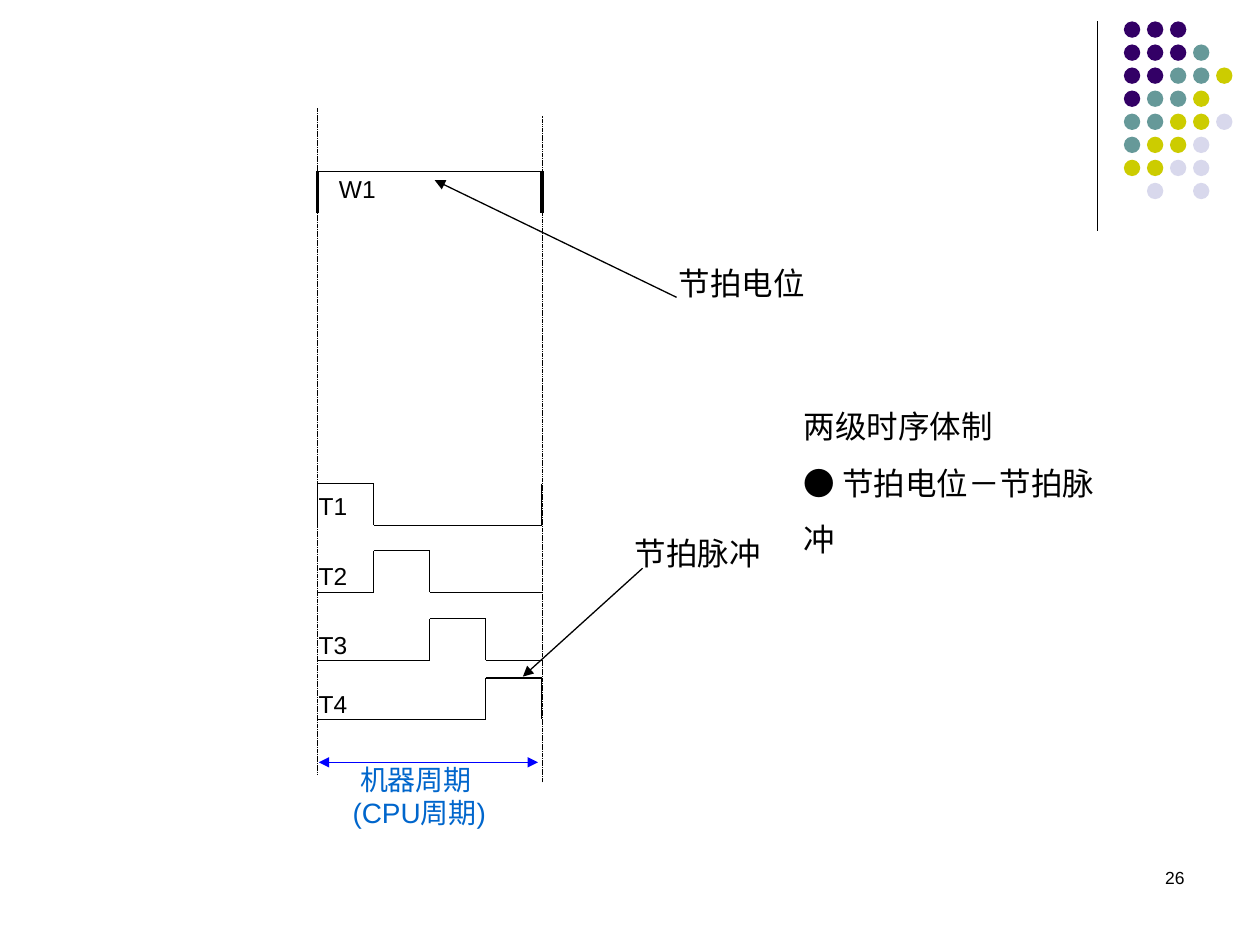
import dataclasses
import itertools
import typing

import pptx
import pptx.dml.color
import pptx.enum.dml
import pptx.enum.shapes
import pptx.enum.text
import pptx.oxml
import pptx.oxml.ns
import pptx.util

Inches = pptx.util.Inches
Pt = pptx.util.Pt
Point = tuple[float, float]


@dataclasses.dataclass(frozen=True)
class Theme:
    font: str = "Arial"
    ink: str = "000000"
    blue: str = "0000FF"
    note: str = "0066CC"
    page: float = 10
    tag: float = 14
    unit: float = 16
    body: float = 18
    hair: float = 0.25
    thin: float = 0.75
    bold: float = 2


@dataclasses.dataclass(frozen=True)
class Pulse:
    name: str
    top: float
    label: float


THEME = Theme()
DOTS = {"P": "330066", "T": "669999", "Y": "CCCC00", "L": "D8D8EC"}
GRID = ["PPP", "PPPT", "PPTTY", "PTTY", "TTYYL", "TYYL", "YYLL", " L L"]
PULSES = [
    Pulse("T1", 3.84, 3.85),
    Pulse("T2", 4.37, 4.4),
    Pulse("T3", 4.91, 4.95),
    Pulse("T4", 5.38, 5.42),
]
LEFT, RIGHT = 2.52, 4.3
STEP = (RIGHT - LEFT) / len(PULSES)
RISE = 0.33


def color(code: str) -> pptx.dml.color.RGBColor:
    return pptx.dml.color.RGBColor.from_string(code)


def line(slide, start: Point, end: Point, tint: str = THEME.ink,
         width: float = THEME.thin, dash: bool = False,
         ends: typing.Sequence[str] = ()) -> None:
    """Draw a straight line; ends lists headEnd and tailEnd as needed."""
    rule = slide.shapes.add_connector(
        pptx.enum.shapes.MSO_CONNECTOR.STRAIGHT,
        *(Inches(n) for n in (*start, *end)))
    rule.line.color.rgb = color(tint)
    rule.line.width = Pt(width)
    if dash:
        rule.line.dash_style = pptx.enum.dml.MSO_LINE.SQUARE_DOT
    props = rule.element.spPr
    pen = props.find(pptx.oxml.ns.qn("a:ln"))
    space = pptx.oxml.ns.nsdecls("a")
    for end_tag in ends:
        pen.append(pptx.oxml.parse_xml(f'<a:{end_tag} {space} type="triangle"/>'))
    props.append(pptx.oxml.parse_xml(f"<a:effectLst {space}/>"))


def chain(slide, points: list[Point]) -> None:
    for start, end in itertools.pairwise(points):
        line(slide, start, end)


def text(slide, words: str, box: tuple[float, float, float, float], *,
         size: float = THEME.body, tint: str = THEME.ink, pad: float = 0.1,
         wrap: bool = False, grow: bool = True, space: float | None = None,
         right: bool = False, dent: float = 0) -> None:
    """Add text, one paragraph a line; dent indents the first one."""
    frame = slide.shapes.add_textbox(*(Inches(n) for n in box)).text_frame
    frame.word_wrap = wrap
    frame.margin_left = frame.margin_right = Inches(pad)
    frame.margin_top = frame.margin_bottom = Inches(0.05)
    if grow:
        frame.auto_size = pptx.enum.text.MSO_AUTO_SIZE.SHAPE_TO_FIT_TEXT
    frame.text = words
    for para in frame.paragraphs:
        para.font.name = THEME.font
        para.font.size = Pt(size)
        para.font.color.rgb = color(tint)
        if space:
            para.line_spacing = space
        if right:
            para.alignment = pptx.enum.text.PP_ALIGN.RIGHT
    if dent:
        frame.paragraphs[0]._p.get_or_add_pPr().set("marL", str(Inches(dent)))


def corner(slide) -> None:
    """Draw the rule and the dot pattern at the top right."""
    line(slide, (8.71, 0.17), (8.71, 1.83))
    pitch, size = 0.183, Inches(0.13)
    for row, marks in enumerate(GRID):
        for col, mark in enumerate(marks):
            if mark == " ":
                continue
            dot = slide.shapes.add_shape(
                pptx.enum.shapes.MSO_SHAPE.OVAL, Inches(8.92 + col * pitch),
                Inches(0.17 + row * pitch), size, size)
            dot.shadow.inherit = False
            dot.fill.solid()
            dot.fill.fore_color.rgb = color(DOTS[mark])
            dot.line.fill.background()


def pulses(slide) -> None:
    for turn, pulse in enumerate(PULSES):
        low = pulse.top + RISE
        rise = LEFT + turn * STEP
        fall = rise + STEP
        points = [(rise, low), (rise, pulse.top), (fall, pulse.top), (fall, low)]
        if rise > LEFT:
            points.insert(0, (LEFT, low))
        if turn < len(PULSES) - 1:
            points.append((RIGHT, low))
        chain(slide, points)
        text(slide, pulse.name, (2.53, pulse.label, 0.24, 0.34),
             size=THEME.tag, pad=0, wrap=True)
    first = PULSES[0].top
    line(slide, (RIGHT, first), (RIGHT, first + RISE))


def level(slide) -> None:
    """Draw the W1 level and the bounds of the machine cycle."""
    top = 1.36
    line(slide, (LEFT, top), (RIGHT, top))
    for edge, high, low in ((LEFT, 0.86, 6.15), (RIGHT, 0.92, 6.21)):
        line(slide, (edge, low), (edge, high), width=THEME.hair, dash=True)
        line(slide, (edge, top), (edge, top + RISE), width=THEME.bold)
    text(slide, "W1", (2.69, 1.33, 0.35, 0.34), size=THEME.tag, pad=0, wrap=True)


def notes(slide) -> None:
    line(slide, (2.53, 6.05), (4.27, 6.05), THEME.blue,
         ends=("headEnd", "tailEnd"))
    text(slide, "机器周期\n(CPU周期)", (2.7, 6, 1.36, 0.67),
         size=THEME.unit, tint=THEME.note, dent=0.06)
    text(slide, "节拍电位", (5.29, 2.05, 1.2, 0.4))
    text(slide, "节拍脉冲", (4.94, 4.19, 1.2, 0.4))
    line(slide, (5.37, 2.36), (3.45, 1.43), ends=("tailEnd",))
    line(slide, (5.1, 4.51), (4.15, 5.37), ends=("tailEnd",))
    text(slide, "两级时序体制\n● 节拍电位－节拍脉冲", (6.28, 3.03, 2.75, 1),
         space=1.5)
    text(slide, "26", (7.17, 6.83, 2.33, 0.5), size=THEME.page,
         wrap=True, grow=False, right=True)


def main() -> None:
    deck = pptx.Presentation()
    deck.slide_width, deck.slide_height = Inches(10), Inches(7.5)
    slide = deck.slides.add_slide(deck.slide_layouts[6])
    for draw in (corner, pulses, level, notes):
        draw(slide)
    deck.save("out.pptx")


if __name__ == "__main__":
    main()
